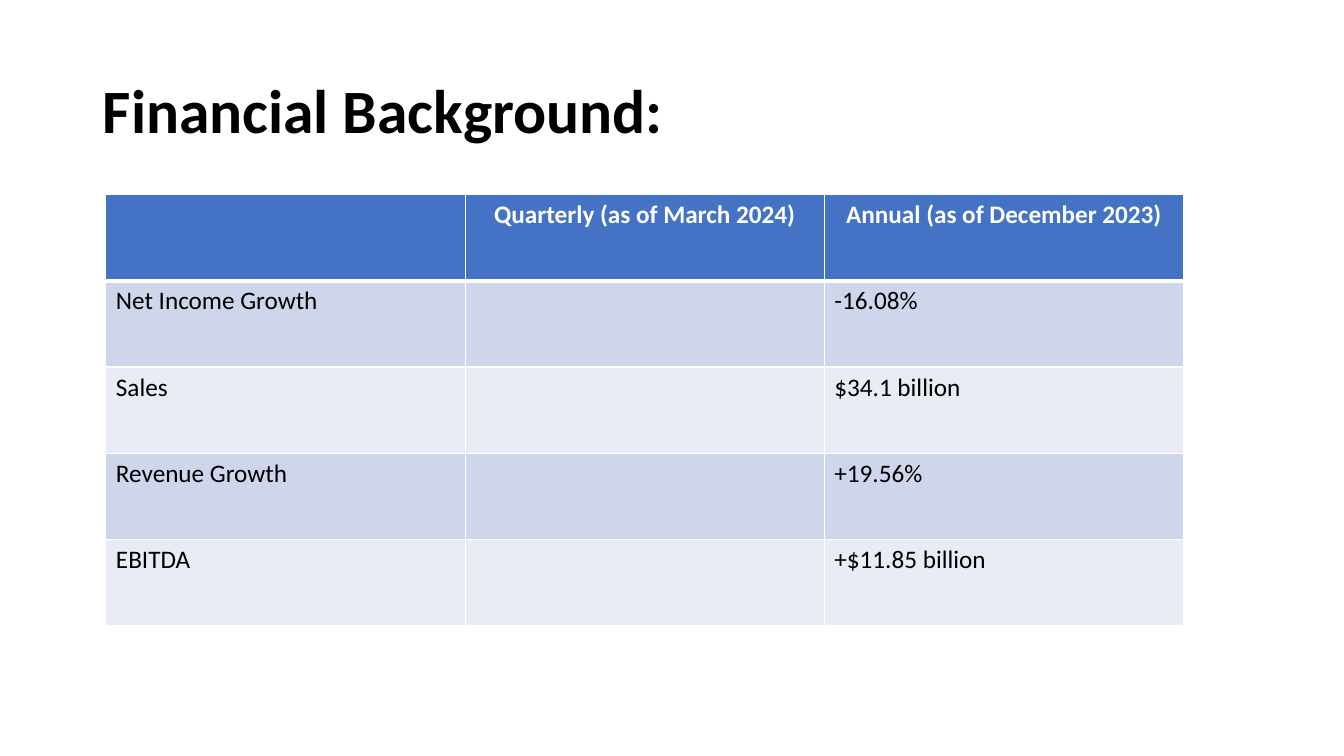
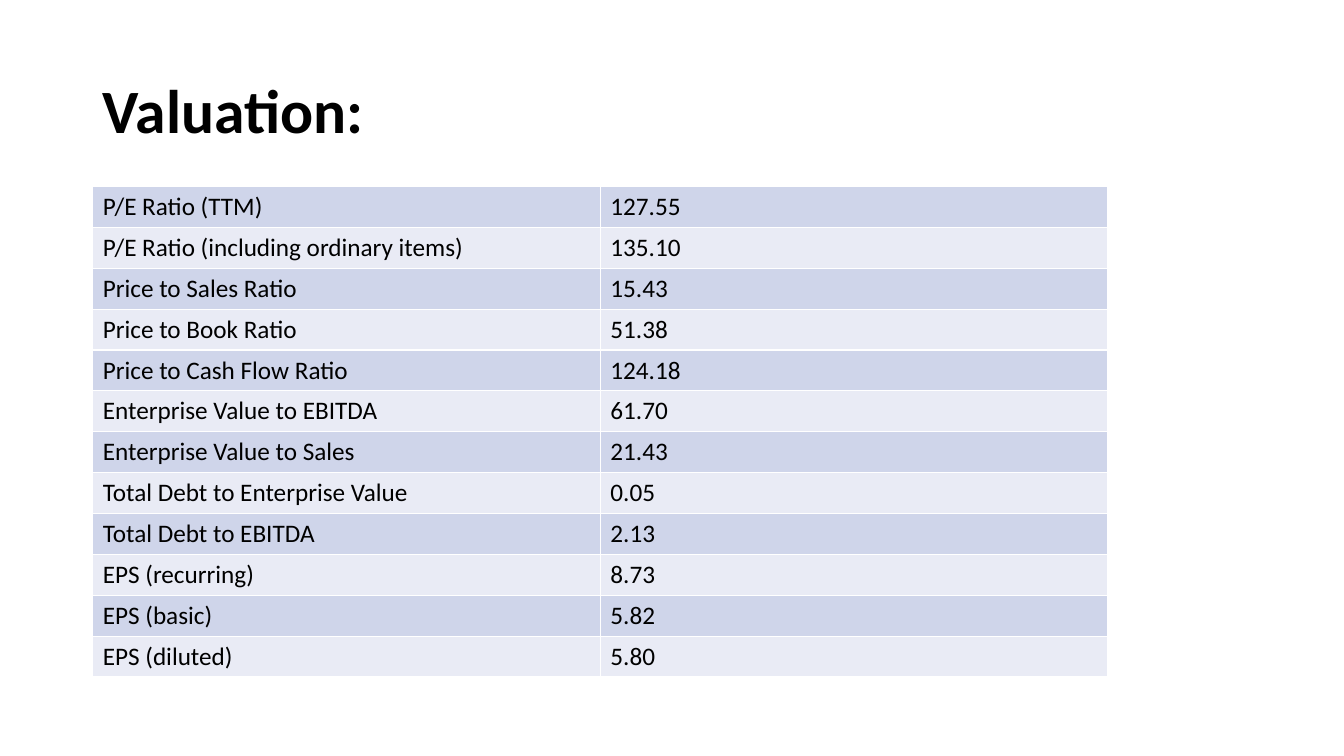
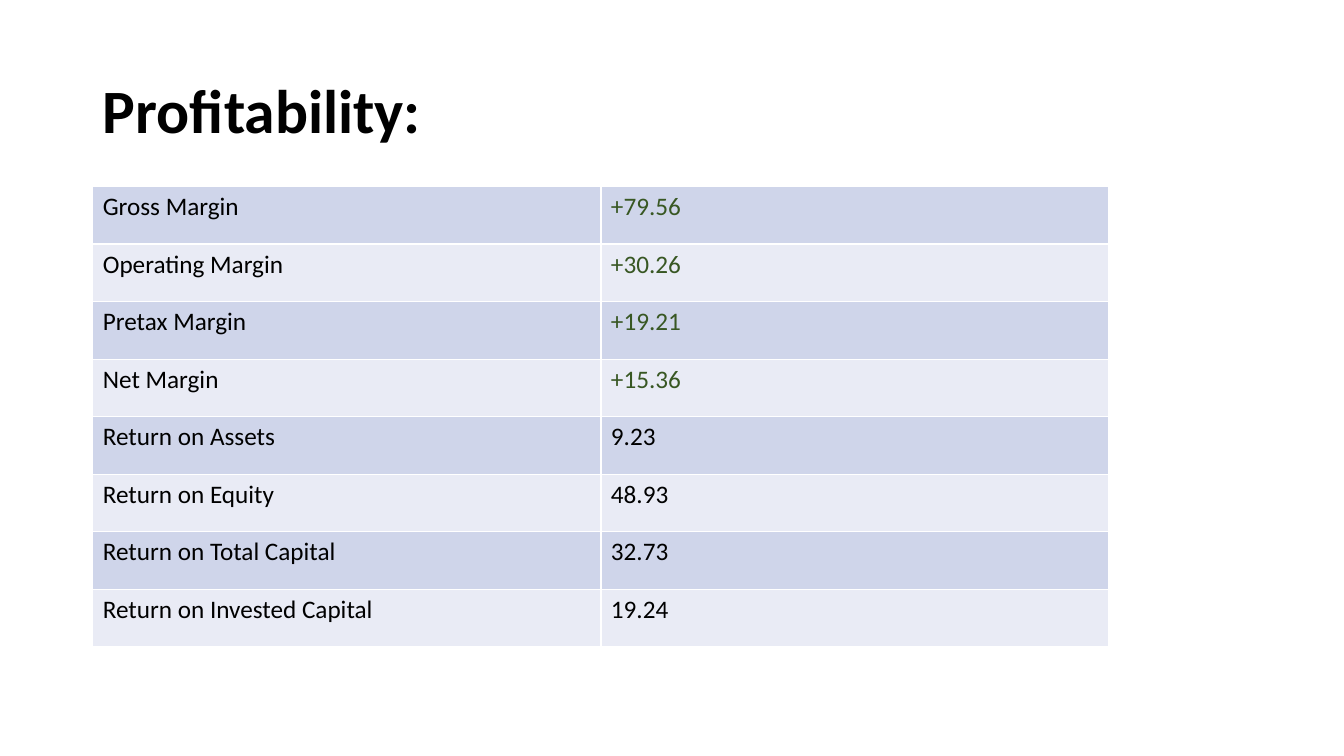
from lxml import etree
from pptx import Presentation
from pptx.dml.color import RGBColor
from pptx.enum.text import MSO_ANCHOR, MSO_AUTO_SIZE, PP_ALIGN
from pptx.oxml.ns import qn
from pptx.util import Inches, Pt

LEFT, CENTER, JUSTIFY = PP_ALIGN.LEFT, PP_ALIGN.CENTER, PP_ALIGN.JUSTIFY
MIDDLE = MSO_ANCHOR.MIDDLE
NO_AUTOFIT = MSO_AUTO_SIZE.NONE

BLACK = RGBColor(0x00, 0x00, 0x00)
WHITE = RGBColor(0xFF, 0xFF, 0xFF)
BLUE = RGBColor(0x44, 0x72, 0xC4)
GREEN = RGBColor(0x38, 0x57, 0x23)
BANDS = (RGBColor(0xCF, 0xD5, 0xEA), RGBColor(0xE9, 0xEB, 0xF5))

FONT = "Calibri"
TITLE_ONLY = 5

FINANCIALS = [
    ("", "Quarterly (as of March 2024)", "Annual (as of December 2023)"),
    ("Net Income Growth", "", "-16.08%"),
    ("Sales", "", "$34.1 billion"),
    ("Revenue Growth", "", "+19.56%"),
    ("EBITDA", "", "+$11.85 billion"),
]
VALUATION = [
    ("P/E Ratio (TTM)", "127.55"),
    ("P/E Ratio (including ordinary items)", "135.10"),
    ("Price to Sales Ratio", "15.43"),
    ("Price to Book Ratio", "51.38"),
    ("Price to Cash Flow Ratio", "124.18"),
    ("Enterprise Value to EBITDA", "61.70"),
    ("Enterprise Value to Sales", "21.43"),
    ("Total Debt to Enterprise Value", "0.05"),
    ("Total Debt to EBITDA", "2.13"),
    ("EPS (recurring)", "8.73"),
    ("EPS (basic)", "5.82"),
    ("EPS (diluted)", "5.80"),
]
PROFITABILITY = [
    ("Gross Margin", "+79.56"),
    ("Operating Margin", "+30.26"),
    ("Pretax Margin", "+19.21"),
    ("Net Margin", "+15.36"),
    ("Return on Assets", "9.23"),
    ("Return on Equity", "48.93"),
    ("Return on Total Capital", "32.73"),
    ("Return on Invested Capital", "19.24"),
]


def set_text(p, text, size, color, bold=False, align=LEFT):
    """Write and format one paragraph."""
    p.text = text
    p.alignment = align
    for r in p.runs:
        r.font.name = FONT
        r.font.size = Pt(size)
        r.font.bold = bold
        r.font.color.rgb = color


def add_titled_slide(prs, title):
    """Add a slide with the shared title style."""
    s = prs.slides.add_slide(prs.slide_layouts[TITLE_ONLY])
    sp = s.shapes.title
    sp.left, sp.top = Inches(0.92), Inches(0.4)
    sp.width, sp.height = Inches(11.5), Inches(1.45)
    tf = sp.text_frame
    tf.word_wrap = True
    tf.auto_size = NO_AUTOFIT
    tf.vertical_anchor = MIDDLE
    set_text(tf.paragraphs[0], title, 44, BLACK, bold=True)
    tf.paragraphs[0].line_spacing = 0.9
    return s


def set_borders(cell, top=1, bottom=1):
    """Draw white lines round a cell, with widths in points."""
    tcPr = cell._tc.get_or_add_tcPr()
    for side, width in (("L", 1), ("R", 1), ("T", top), ("B", bottom)):
        ln = etree.SubElement(tcPr, qn(f"a:ln{side}"), w=str(Pt(width)))
        fill = etree.SubElement(ln, qn("a:solidFill"))
        etree.SubElement(fill, qn("a:srgbClr"), val=str(WHITE))


def add_banded_table(s, rows, left, top, width, height,
                     header=False, align=LEFT, gain_color=BLACK):
    """Add a table of equal rows and columns with banded fills."""
    table = s.shapes.add_table(len(rows), len(rows[0]), Inches(left), Inches(top),
                               Inches(width), Inches(height)).table
    table.first_row = header
    table.horz_banding = False
    for i, row in enumerate(rows):
        is_head = header and i == 0
        below_head = header and i == 1
        for j, text in enumerate(row):
            cell = table.cell(i, j)
            set_borders(cell, top=3 if below_head else 1, bottom=3 if is_head else 1)
            cell.fill.solid()
            cell.fill.fore_color.rgb = BLUE if is_head else BANDS[(i - header) % 2]
            p = cell.text_frame.paragraphs[0]
            if is_head:
                set_text(p, text, 18, WHITE, bold=True, align=CENTER)
            else:
                color = gain_color if text.startswith("+") else BLACK
                set_text(p, text, 18, color, align=align)


def main():
    """Build the three slides and save them."""
    prs = Presentation()
    prs.slide_width, prs.slide_height = Inches(13.33), Inches(7.5)

    s = add_titled_slide(prs, "Financial Background:")
    add_banded_table(s, FINANCIALS, 1.05, 1.93, 10.69, 4.28, header=True)

    s = add_titled_slide(prs, "Valuation:")
    add_banded_table(s, VALUATION, 0.92, 1.85, 10.07, 4.87, align=JUSTIFY)

    s = add_titled_slide(prs, "Profitability:")
    add_banded_table(s, PROFITABILITY, 0.92, 1.85, 10.08, 4.57, gain_color=GREEN)

    prs.save("out.pptx")


if __name__ == "__main__":
    main()
